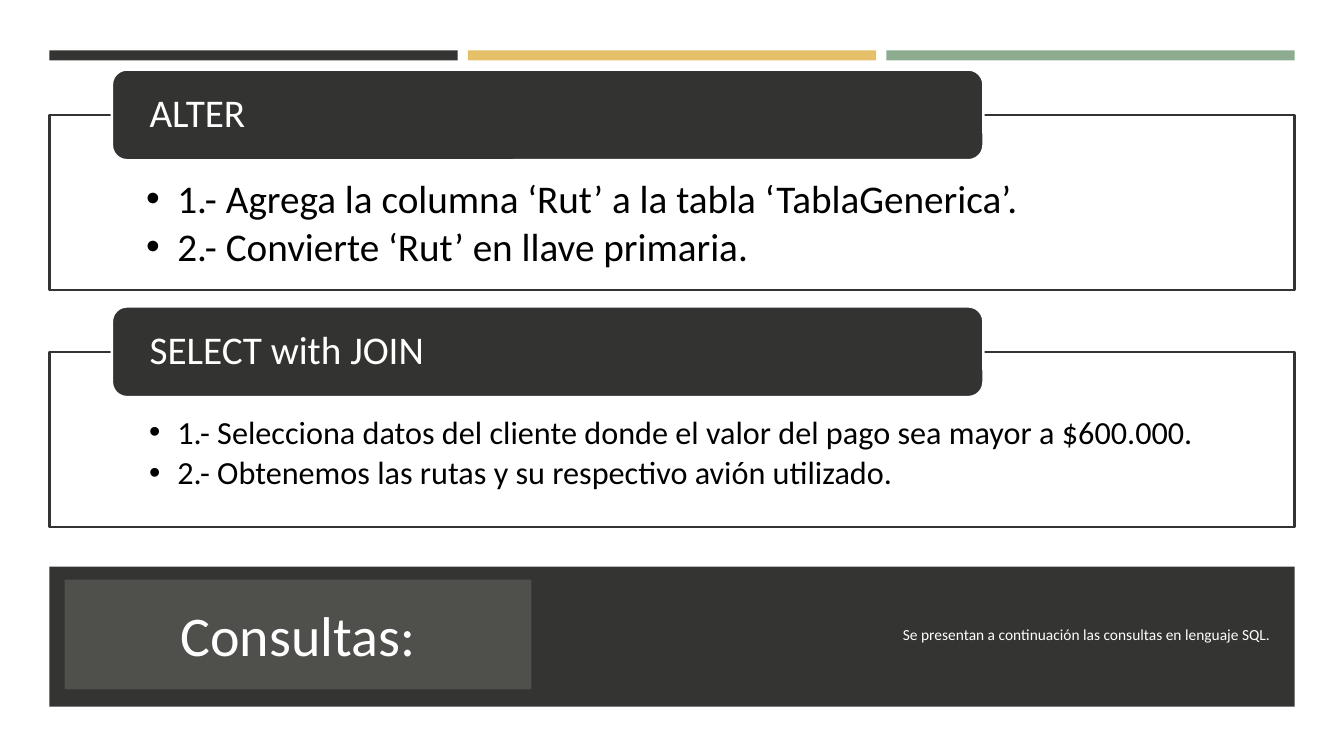
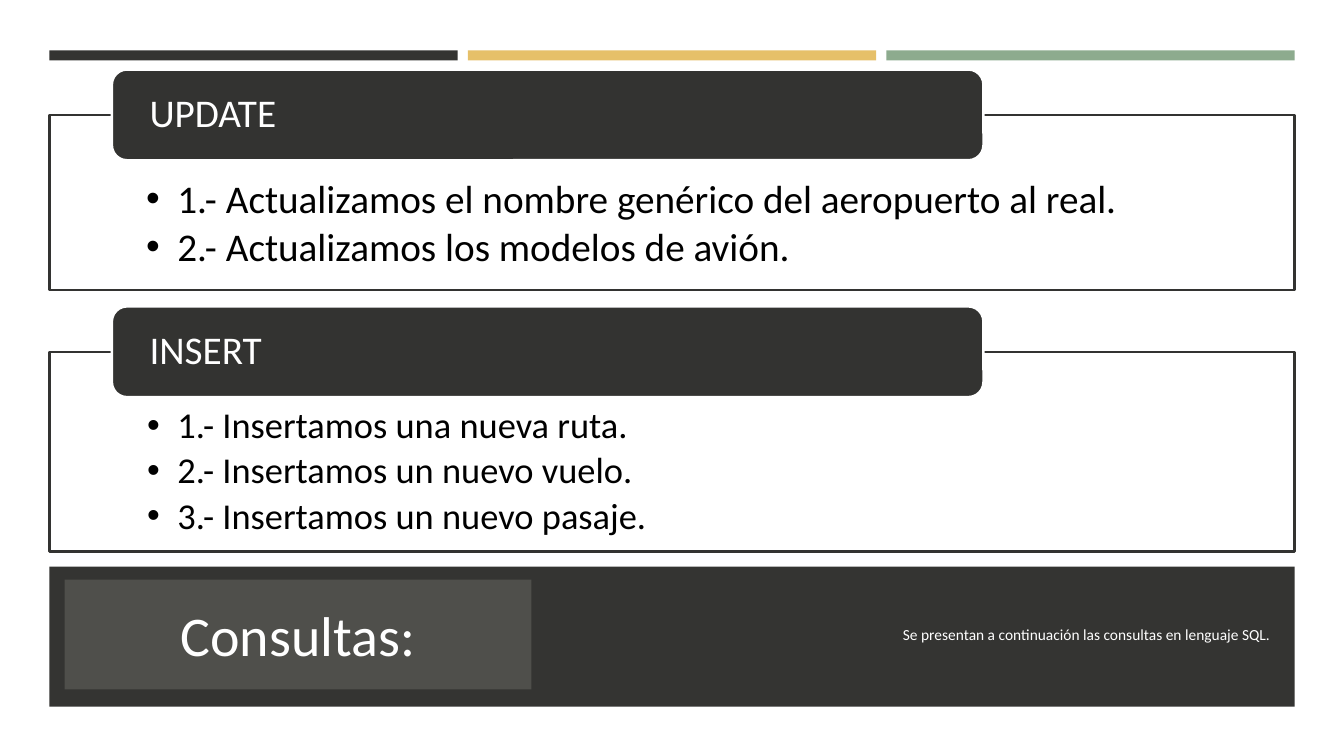
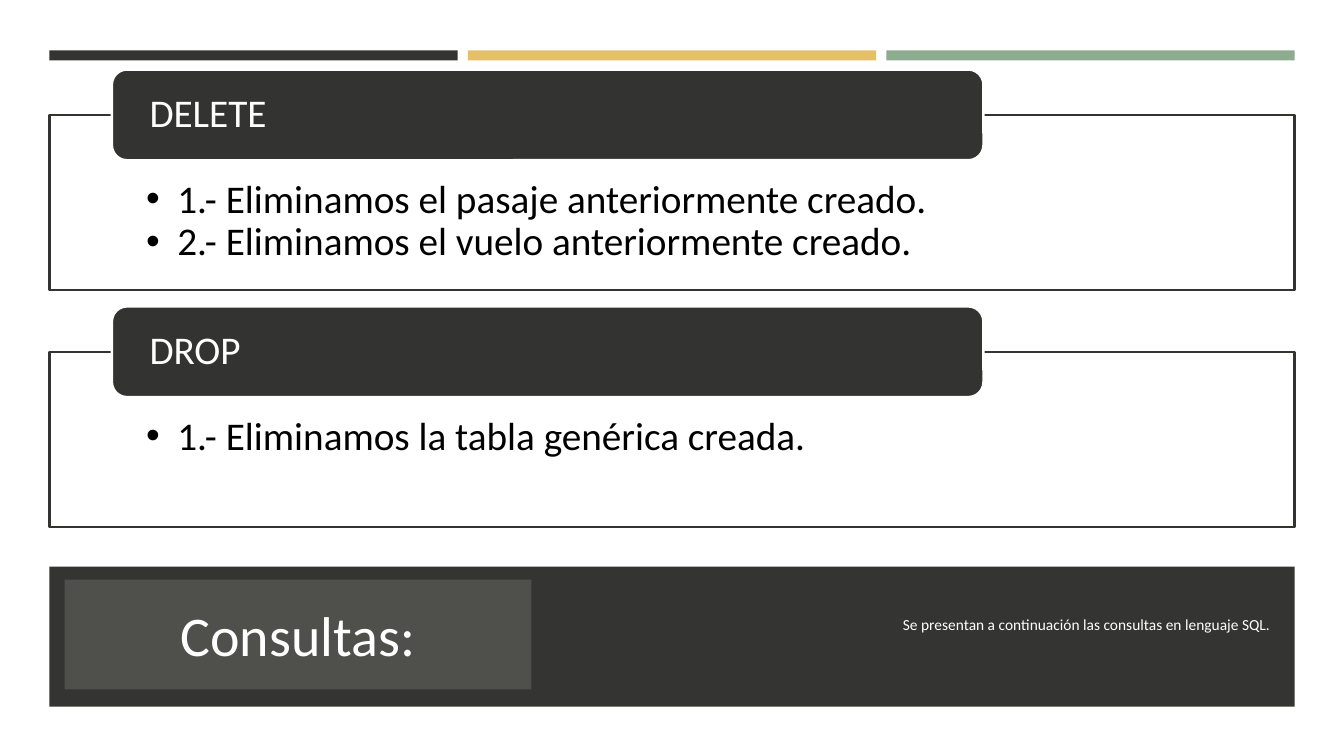
from lxml import etree
from pptx import Presentation
from pptx.dml.color import RGBColor
from pptx.enum.shapes import MSO_SHAPE
from pptx.enum.text import MSO_ANCHOR, MSO_AUTO_SIZE, PP_ALIGN
from pptx.oxml.ns import qn
from pptx.util import Inches, Pt

RECT, ROUNDED = MSO_SHAPE.RECTANGLE, MSO_SHAPE.ROUNDED_RECTANGLE
TOP, MIDDLE = MSO_ANCHOR.TOP, MSO_ANCHOR.MIDDLE
LEFT, CENTER, RIGHT = PP_ALIGN.LEFT, PP_ALIGN.CENTER, PP_ALIGN.RIGHT
NO_AUTOFIT = MSO_AUTO_SIZE.NONE

CHARCOAL = RGBColor(0x34, 0x34, 0x32)
HEADER_DARK = RGBColor(0x33, 0x33, 0x31)
TITLE_GRAY = RGBColor(0x4F, 0x4F, 0x4B)
GOLD = RGBColor(0xE6, 0xC0, 0x69)
SAGE = RGBColor(0x8D, 0xAB, 0x8E)
WHITE = RGBColor(0xFF, 0xFF, 0xFF)
BLACK = RGBColor(0x00, 0x00, 0x00)

FONT = "Calibri"
SLIDE_W, SLIDE_H = 13.33, 7.5
MARGIN = 0.49
CONTENT_W = SLIDE_W - 2 * MARGIN
STRIPE_GAP, STRIPE_Y, STRIPE_H = 0.1, 0.5, 0.1
FOOTER_Y, FOOTER_H = 5.62, 1.39
FOOTER_TEXT_Y, FOOTER_TEXT_H = 5.75, 1.09
HEADER_X, HEADER_W, HEADER_H = 1.11, 0.7 * CONTENT_W, 0.9
PANEL_Y, PANEL_PITCH, PANEL_H = 1.14, 2.35, 1.74
BULLET_INDENT = 0.31
HANGING = {28: 0.31, 26: 0.3, 23: 0.28}

TITLE = "Consultas:"
NOTE = "Se presentan a continuación las consultas en lenguaje SQL."

# Each slide: lift of the note, then its sections. Section defaults: PLAIN.
PLAIN = {"size": 28, "gap": 4.2, "height": PANEL_H, "top_inset": 0.64}
SLIDES = [
    (0, [
        {"header": "ALTER", "items": [
            "1.- Agrega la columna ‘Rut’ a la tabla ‘TablaGenerica’.",
            "2.- Convierte ‘Rut’ en llave primaria."]},
        {"header": "SELECT with JOIN", "size": 23, "items": [
            "1.- Selecciona datos del cliente donde el valor del pago sea mayor a $600.000.",
            "2.- Obtenemos las rutas y su respectivo avión utilizado."]},
    ]),
    (0, [
        {"header": "UPDATE", "items": [
            "1.- Actualizamos el nombre genérico del aeropuerto al real.",
            "2.- Actualizamos los modelos de avión."]},
        {"header": "INSERT", "size": 26, "height": 1.98, "top_inset": 0.55, "items": [
            "1.- Insertamos una nueva ruta.",
            "2.- Insertamos un nuevo vuelo.",
            "3.- Insertamos un nuevo pasaje."]},
    ]),
    (0.1, [
        {"header": "DELETE", "gap": 0, "items": [
            "1.- Eliminamos el pasaje anteriormente creado.",
            "2.- Eliminamos el vuelo anteriormente creado."]},
        {"header": "DROP", "items": ["1.- Eliminamos la tabla genérica creada."]},
    ]),
]


def add_block(slide, kind, box, fill, line=None):
    block = slide.shapes.add_shape(kind, *map(Inches, box))
    block.shadow.inherit = False
    block.fill.solid()
    block.fill.fore_color.rgb = fill
    if line is None:
        block.line.fill.background()
    else:
        block.line.color.rgb = line
        block.line.width = Pt(1.75)
    return block


def format_frame(frame, insets, anchor):
    """Set wrapping, anchor and insets (left, top, right, bottom)."""
    left, top, right, bottom = map(Inches, insets)
    settings = {"word_wrap": True, "auto_size": NO_AUTOFIT, "vertical_anchor": anchor,
                "margin_left": left, "margin_top": top,
                "margin_right": right, "margin_bottom": bottom}
    for name, value in settings.items():
        setattr(frame, name, value)


def write(paragraph, text, size, color, align=LEFT, spacing=None):
    paragraph.alignment = align
    paragraph.line_spacing = spacing
    run = paragraph.add_run()
    run.text = text
    for name, value in {"name": FONT, "size": Pt(size)}.items():
        setattr(run.font, name, value)
    run.font.color.rgb = color


def add_bullet(paragraph, hanging):
    properties = paragraph._p.get_or_add_pPr()
    properties.set("marL", str(Inches(BULLET_INDENT)))
    properties.set("indent", str(-Inches(hanging)))
    color = etree.SubElement(properties, qn("a:buClr"))
    etree.SubElement(color, qn("a:srgbClr"), val=str(BLACK))
    etree.SubElement(properties, qn("a:buFont"), typeface="Arial")
    etree.SubElement(properties, qn("a:buChar"), char="•")


def decorate_layout(layout, slide):
    """Draw the stripes and footer band, then move them to the shared layout."""
    stripe_w = (CONTENT_W - 2 * STRIPE_GAP) / 3
    bands = [add_block(slide, RECT,
                       (MARGIN + i * (stripe_w + STRIPE_GAP), STRIPE_Y, stripe_w, STRIPE_H),
                       color)
             for i, color in enumerate((CHARCOAL, GOLD, SAGE))]
    bands.append(add_block(slide, RECT, (MARGIN, FOOTER_Y, CONTENT_W, FOOTER_H), CHARCOAL))
    first_id = 1 + max(shape.shape_id for shape in layout.shapes)
    for shape_id, band in enumerate(bands, first_id):
        band._element.nvSpPr.cNvPr.set("id", str(shape_id))
        layout.shapes._spTree.append(band._element)


def set_title(slide):
    title = slide.shapes.title
    box = {"left": 0.64, "top": FOOTER_TEXT_Y, "width": 4.63, "height": FOOTER_TEXT_H}
    for name, value in box.items():
        setattr(title, name, Inches(value))
    title.fill.solid()
    title.fill.fore_color.rgb = TITLE_GRAY
    format_frame(title.text_frame, (0.1, 0.05, 0.1, 0.05), MIDDLE)
    write(title.text_frame.paragraphs[0], TITLE, 40, WHITE, CENTER)


def add_note(slide, lift):
    note = slide.shapes.add_textbox(
        *map(Inches, (6.28, FOOTER_TEXT_Y - lift, 6.42, FOOTER_TEXT_H)))
    format_frame(note.text_frame, (0.1, 0.05, 0.1, 0.05), MIDDLE)
    write(note.text_frame.paragraphs[0], NOTE, 11, WHITE, RIGHT)


def add_section(slide, row, section):
    """Add an outlined bullet panel with its header straddling the top edge."""
    section = {**PLAIN, **section}
    top = PANEL_Y + row * PANEL_PITCH
    panel = add_block(slide, RECT, (MARGIN, top, CONTENT_W, section["height"]),
                      WHITE, HEADER_DARK)
    frame = panel.text_frame
    format_frame(frame, (0.96, section["top_inset"], 0.96, 0.22), TOP)
    for i, item in enumerate(section["items"]):
        paragraph = frame.add_paragraph() if i else frame.paragraphs[0]
        paragraph.level = 1
        paragraph.space_before = Pt(section["gap"] if i else 0)
        write(paragraph, item, section["size"], BLACK, spacing=0.9)
        add_bullet(paragraph, HANGING[section["size"]])

    header = add_block(slide, ROUNDED, (HEADER_X, top - HEADER_H / 2, HEADER_W, HEADER_H),
                       HEADER_DARK, WHITE)
    format_frame(header.text_frame, (0.33, 0, 0.33, 0), MIDDLE)
    write(header.text_frame.paragraphs[0], section["header"], 28, WHITE, spacing=0.9)


def main():
    presentation = Presentation()
    presentation.slide_width = Inches(SLIDE_W)
    presentation.slide_height = Inches(SLIDE_H)
    title_only = presentation.slide_layouts[5]
    for number, (note_lift, sections) in enumerate(SLIDES):
        slide = presentation.slides.add_slide(title_only)
        if number == 0:
            decorate_layout(title_only, slide)
        set_title(slide)
        add_note(slide, note_lift)
        for row, section in enumerate(sections):
            add_section(slide, row, section)
    presentation.save("out.pptx")


if __name__ == "__main__":
    main()
